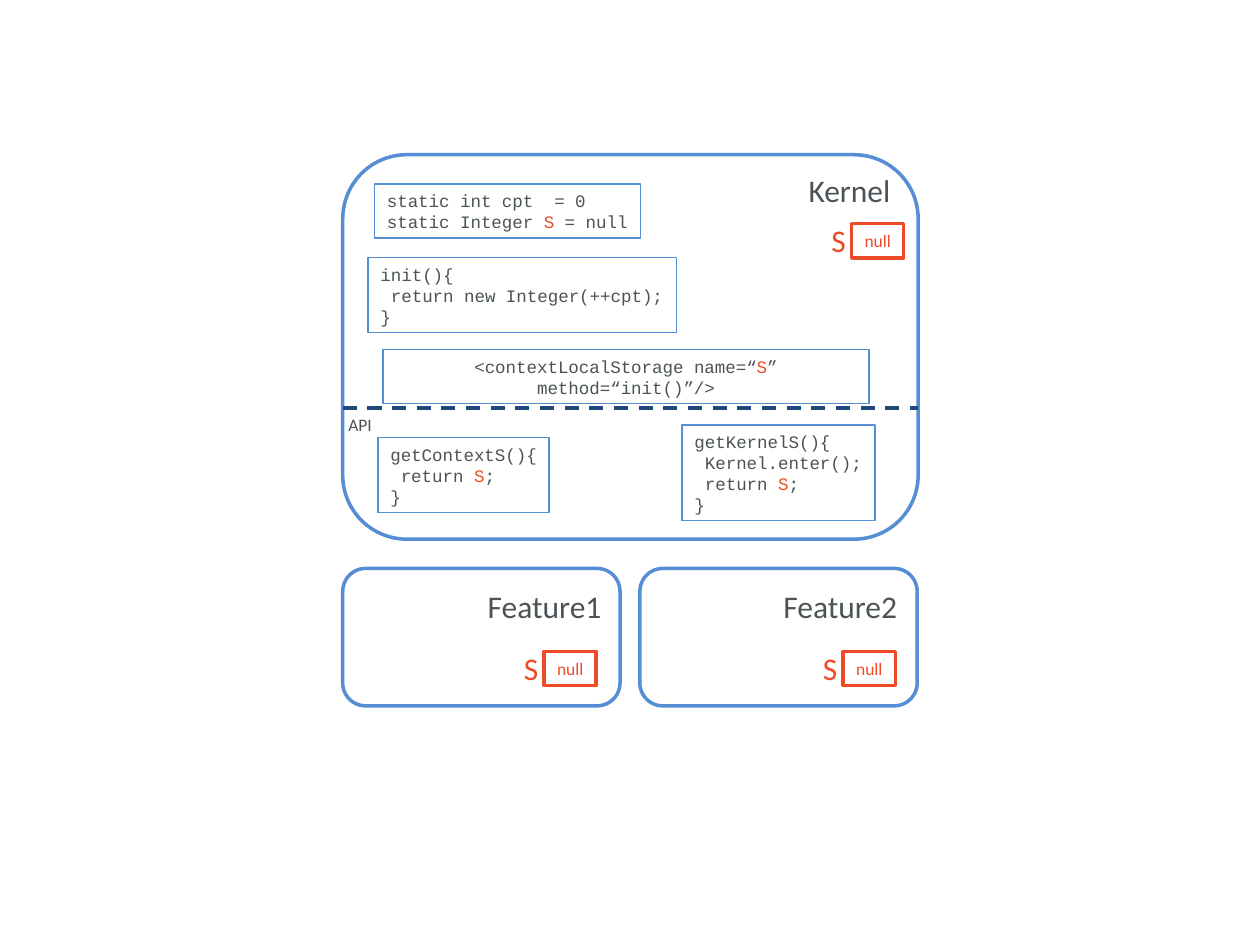
from dataclasses import dataclass
from typing import Optional

from lxml.etree import SubElement
from pptx import Presentation
from pptx.dml.color import RGBColor
from pptx.enum.dml import MSO_LINE
from pptx.enum.shapes import MSO_CONNECTOR, MSO_SHAPE
from pptx.enum.text import MSO_ANCHOR, PP_ALIGN
from pptx.oxml.ns import qn
from pptx.util import Cm, Pt

BLUE = RGBColor(0x55, 0x8E, 0xD5)
NAVY = RGBColor(0x1F, 0x49, 0x7D)
GRAY = RGBColor(0x4B, 0x53, 0x57)
ORANGE = RGBColor(0xED, 0x4B, 0x28)
WHITE = RGBColor(0xFF, 0xFF, 0xFF)

LABEL = {"name": "Calibri", "size": Pt(18)}
SMALL = {"name": "Calibri", "size": Pt(10)}
CODE = {"name": "Courier New", "size": Pt(10)}


@dataclass
class Area:
    """A rectangle in centimetres."""
    left: float
    top: float
    width: float
    height: float

    def lengths(self) -> tuple:
        return Cm(self.left), Cm(self.top), Cm(self.width), Cm(self.height)


@dataclass
class CodeBlock:
    area: Area
    lines: list  # each line is a tuple of spans; the span "S" is highlighted
    align: PP_ALIGN = PP_ALIGN.LEFT
    wrap: bool = False


@dataclass
class Container:
    area: Area
    title: str
    title_area: Area
    title_align: PP_ALIGN
    slot_left: float
    slot_top: float


CONTAINERS = [
    Container(Area(6.91, 3.12, 11.6, 7.75), "Kernel",
              Area(16.05, 3.33, 2.18, 1.02), PP_ALIGN.LEFT, 17.17, 4.51),
    Container(Area(6.91, 11.46, 5.59, 2.77), "Feature1",
              Area(9.52, 11.71, 2.92, 1.02), PP_ALIGN.CENTER, 10.97, 13.13),
    Container(Area(12.9, 11.46, 5.59, 2.77), "Feature2",
              Area(15.48, 11.71, 2.92, 1.02), PP_ALIGN.CENTER, 17, 13.13),
]

CODE_BLOCKS = [
    CodeBlock(Area(7.55, 3.71, 5.36, 1.09),
              [("static int cpt  = 0",), ("static Integer ", "S", " = null")]),
    CodeBlock(Area(7.42, 5.19, 6.22, 1.52),
              [("init(){",), (" return new Integer(++cpt);",), ("}",)]),
    CodeBlock(Area(7.72, 7.05, 9.8, 1.09),
              [("<contextLocalStorage name=“", "S", "” method=“init()”/>")],
              PP_ALIGN.CENTER, True),
    CodeBlock(Area(7.62, 8.82, 3.45, 1.52),
              [("getContextS(){",), (" return ", "S", ";"), ("}",)]),
    CodeBlock(Area(13.75, 8.57, 3.89, 1.93),
              [("getKernelS(){",), (" Kernel.enter();",),
               (" return ", "S", ";"), ("}",)]),
]


def write(shape, lines: list, style: dict, align=PP_ALIGN.LEFT,
          anchor=MSO_ANCHOR.TOP, wrap: bool = False, color: RGBColor = GRAY) -> None:
    frame = shape.text_frame
    frame.word_wrap = wrap
    frame.vertical_anchor = anchor
    for index, line in enumerate(lines):
        para = frame.add_paragraph() if index else frame.paragraphs[0]
        para.alignment = align
        for text in line:
            span = para.add_run()
            span.text = text
            for key, value in style.items():
                setattr(span.font, key, value)
            span.font.color.rgb = ORANGE if text == "S" else color


def add_box(page, kind: MSO_SHAPE, area: Area, color: RGBColor,
            weight: float, fill: Optional[RGBColor] = None):
    box = page.shapes.add_shape(kind, *area.lengths())
    box.shadow.inherit = False
    if fill is None:
        box.fill.background()
    else:
        box.fill.solid()
        box.fill.fore_color.rgb = fill
    box.line.color.rgb = color
    box.line.width = Pt(weight)
    return box


def add_label(page, area: Area, text: str, style: dict, align=PP_ALIGN.LEFT) -> None:
    write(page.shapes.add_textbox(*area.lengths()), [(text,)], style, align)


def add_slot(page, left: float, top: float) -> None:
    """Draw the variable S with its value box."""
    box = add_box(page, MSO_SHAPE.RECTANGLE, Area(left, top, 1.05, 0.69), ORANGE, 2, WHITE)
    write(box, [("null",)], SMALL, PP_ALIGN.CENTER, MSO_ANCHOR.MIDDLE, color=ORANGE)
    add_label(page, Area(left - 0.66, top - 0.17, 0.8, 1.02), "S", LABEL)


def add_container(page, item: Container) -> None:
    add_box(page, MSO_SHAPE.ROUNDED_RECTANGLE, item.area, BLUE, 2, WHITE)
    add_label(page, item.title_area, item.title, LABEL, item.title_align)
    add_slot(page, item.slot_left, item.slot_top)


def add_code(page, block: CodeBlock) -> None:
    box = add_box(page, MSO_SHAPE.RECTANGLE, block.area, BLUE, 0.75)
    write(box, block.lines, CODE, block.align, wrap=block.wrap)


def add_divider(page, left: float, right: float, top: float) -> None:
    divider = page.shapes.add_connector(
        MSO_CONNECTOR.STRAIGHT, Cm(left), Cm(top), Cm(right), Cm(top))
    divider.line.color.rgb = NAVY
    divider.line.width = Pt(2)
    divider.line.dash_style = MSO_LINE.DASH
    SubElement(divider.element.spPr, qn("a:effectLst"))


def main() -> None:
    deck = Presentation()
    deck.slide_width, deck.slide_height = Cm(25.4), Cm(19.05)
    page = deck.slides.add_slide(deck.slide_layouts[6])

    # Kernel and features, each with its own value of S
    for item in CONTAINERS:
        add_container(page, item)

    # API boundary
    kernel = CONTAINERS[0].area
    add_divider(page, kernel.left, kernel.left + kernel.width, 8.23)
    add_label(page, Area(6.7, 8.23, 1.12, 0.69), "API", SMALL, PP_ALIGN.CENTER)

    # Kernel code
    for block in CODE_BLOCKS:
        add_code(page, block)

    deck.save("out.pptx")


if __name__ == "__main__":
    main()
